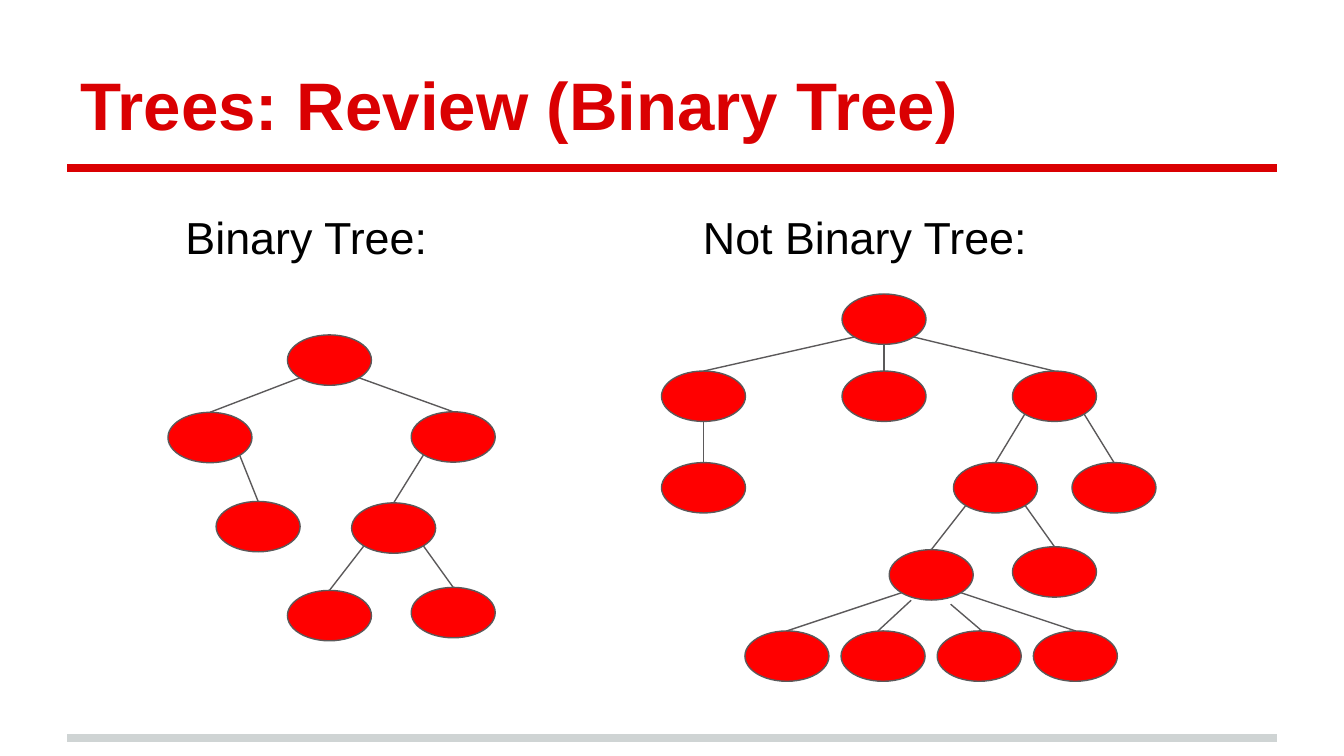
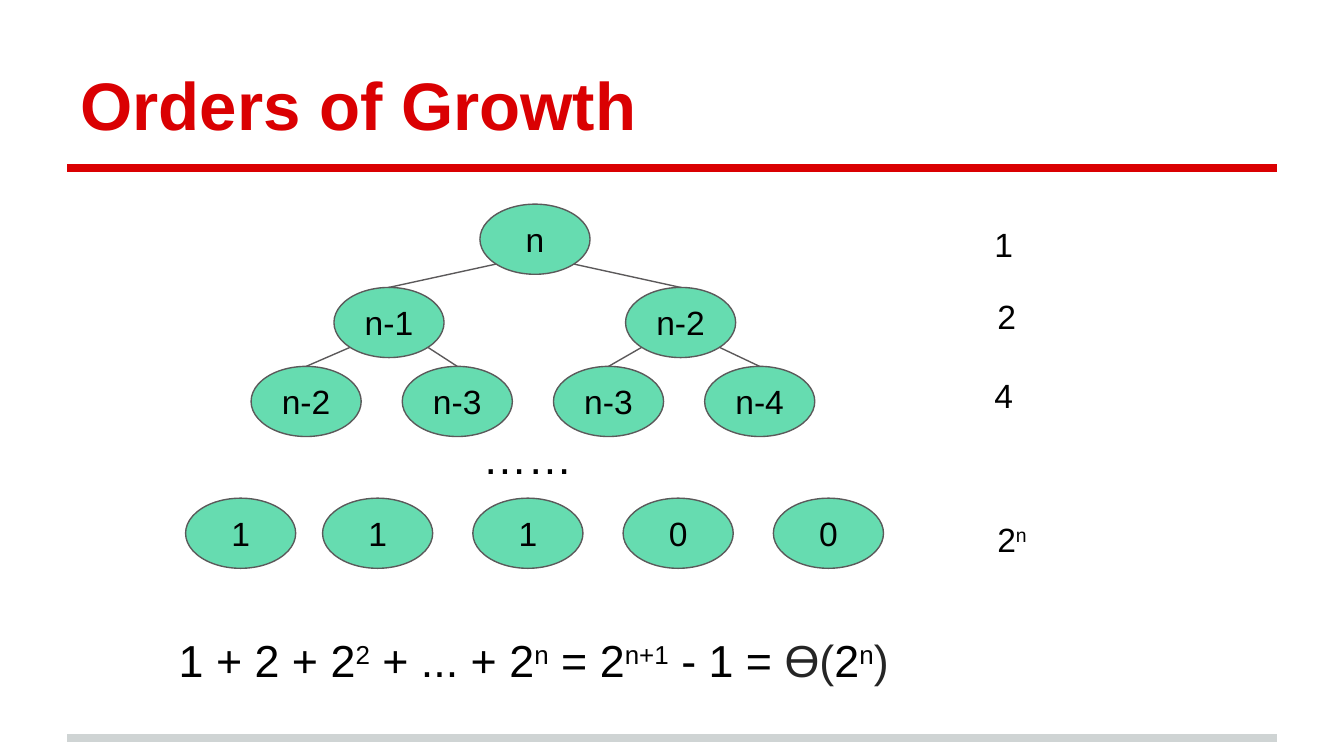
import pptx
import pptx.dml.color
import pptx.enum.shapes
import pptx.enum.text
import pptx.oxml.ns
import pptx.util
import lxml.etree

Pt = pptx.util.Pt
ANCHOR = pptx.enum.text.MSO_ANCHOR
ALIGN = pptx.enum.text.PP_ALIGN

COLORS = {
    "title": "DA0002",
    "footer": "CFD4D4",
    "text": "000000",
    "theta": "252525",
    "outline": "5B595A",
    "plain_node": "FF0000",
    "call_node": "66DCB0",
}
FONT = "Arial"
INSET = 7.2
LEFT, MIDDLE, RIGHT = -1, 0, 1
DIAGONAL = 0.3536

BINARY_NODES = {
    "root": (64, 0, None, None),
    "a": (0, 41.5, "root", LEFT),
    "b": (130.3, 41.2, "root", RIGHT),
    "a2": (25.8, 89.2, "a", RIGHT),
    "b1": (98.4, 90, "b", LEFT),
    "b1a": (64, 136.9, "b1", LEFT),
    "b1b": (130.3, 135.3, "b1", RIGHT),
}
LEAF_X = [44.7 + 51.5 * index for index in range(4)]
GENERAL_NODES = {
    "root": (96.7, 0, None, None),
    "a": (0, 41.3, "root", LEFT),
    "b": (96.7, 41.3, "root", MIDDLE),
    "c": (188, 41.3, "root", RIGHT),
    "a1": (0, 90.3, "a", MIDDLE),
    "c1": (156.4, 90.3, "c", LEFT),
    "c2": (219.9, 90.3, "c", RIGHT),
    "c1a": (122, 137, "c1", LEFT),
    "c1b": (188, 135.4, "c1", RIGHT),
    "leaf1": (LEAF_X[0], 180.5, "c1a", LEFT),
    "leaf2": (LEAF_X[1], 180.5, None, None),
    "leaf3": (LEAF_X[2], 180.5, None, None),
    "leaf4": (LEAF_X[3], 180.5, "c1a", RIGHT),
}
GENERAL_LOOSE_EDGES = [(116, 180.5, 133.7, 164.1), (172.2, 181, 154.9, 166.2)]
CALL_X = [35.1 + 81 * index for index in range(4)]
CALL_NODES = {
    "n": (157.7, 0, None, None),
    "n-1": (79.5, 44.6, "n", LEFT),
    "n-2": (235.7, 44.6, "n", RIGHT),
    "n-2 ": (CALL_X[0], 86.9, "n-1", LEFT),
    "n-3": (CALL_X[1], 86.9, "n-1", RIGHT),
    "n-3 ": (CALL_X[2], 86.9, "n-2", LEFT),
    "n-4": (CALL_X[3], 86.9, "n-2", RIGHT),
}


def color(name):
    """Return the named palette colour."""
    return pptx.dml.color.RGBColor.from_string(COLORS[name])


def write_runs(paragraph, runs, size, bold=False):
    """Add (text, raised, colour) runs to a paragraph."""
    for text, raised, color_name in runs:
        run = paragraph.add_run()
        run.text = text
        run.font.name = FONT
        run.font.size = Pt(size)
        run.font.bold = bold
        run.font.color.rgb = color(color_name)
        if raised:
            run._r.get_or_add_rPr().set("baseline", "30000")


def set_frame(frame, anchor, wrap):
    """Give a text frame its insets, anchor and wrapping."""
    frame.margin_left = frame.margin_right = Pt(INSET)
    frame.margin_top = frame.margin_bottom = Pt(INSET)
    frame.vertical_anchor = anchor
    frame.word_wrap = wrap


def add_text(slide, box, runs, size, anchor=ANCHOR.TOP, align=ALIGN.LEFT, bold=False):
    """Add a one-paragraph text box."""
    shape = slide.shapes.add_textbox(*map(Pt, box))
    set_frame(shape.text_frame, anchor, True)
    paragraph = shape.text_frame.paragraphs[0]
    paragraph.alignment = align
    write_runs(paragraph, runs, size, bold)


def add_line(slide, start, end, color_name="outline", width=0.75):
    """Add a straight line without shadow."""
    line = slide.shapes.add_connector(
        pptx.enum.shapes.MSO_CONNECTOR.STRAIGHT, *map(Pt, (*start, *end)))
    line.line.color.rgb = color(color_name)
    line.line.width = Pt(width)
    lxml.etree.SubElement(line._element.spPr, pptx.oxml.ns.qn("a:effectLst"))
    return line


def add_node(slide, box, color_name, label=""):
    """Add one outlined ellipse with an optional centred label."""
    shape = slide.shapes.add_shape(
        pptx.enum.shapes.MSO_SHAPE.OVAL, *map(Pt, box))
    shape.shadow.inherit = False
    shape.fill.solid()
    shape.fill.fore_color.rgb = color(color_name)
    shape.line.color.rgb = color("outline")
    shape.line.width = Pt(0.75)
    if label:
        set_frame(shape.text_frame, ANCHOR.MIDDLE, False)
        paragraph = shape.text_frame.paragraphs[0]
        paragraph.alignment = ALIGN.CENTER
        write_runs(paragraph, [(label, False, "text")], 18)
    return shape


def add_tree(slide, origin, nodes, size, color_name, labelled=False):
    """Place nodes relative to the origin and link each to its parent."""
    left, top = origin
    width, height = size
    shapes = {}
    for name, (x, y, _, _) in nodes.items():
        label = name.strip() if labelled else ""
        shapes[name] = add_node(slide, (left + x, top + y, width, height), color_name, label)
    for name, (x, y, parent, side) in nodes.items():
        if parent is None:
            continue
        parent_x, parent_y = nodes[parent][:2]
        drop = height / 2 if side == MIDDLE else DIAGONAL * height
        start = (left + parent_x + width / 2 + side * DIAGONAL * width,
                 top + parent_y + height / 2 + drop)
        line = add_line(slide, start, (left + x + width / 2, top + y))
        line.end_connect(shapes[name], 0)


def add_base(presentation, title):
    """Add a blank slide with its title, title rule and footer rule."""
    slide = presentation.slides.add_slide(presentation.slide_layouts[6])
    add_line(slide, (36, 395.3), (684, 395.3), "footer", 4)
    add_line(slide, (36, 90), (684, 90), "title", 4)
    add_text(slide, (36, 16.5, 648, 67.7), [(title, False, "title")], 36,
             anchor=ANCHOR.BOTTOM, bold=True)
    return slide


def add_review_slide(presentation):
    """Compare a binary tree with a general tree."""
    slide = add_base(presentation, "Trees: Review (Binary Tree)")
    for left, width, heading in ((92.3, 175, "Binary Tree:"), (369.5, 225.4, "Not Binary Tree:")):
        add_text(slide, (left, 105.2, width, 48.2), [(heading, False, "text")], 24)
    add_tree(slide, (90, 179.4), BINARY_NODES, (45, 27), "plain_node")
    left, top = 354.4, 157.5
    add_tree(slide, (left, top), GENERAL_NODES, (45, 27), "plain_node")
    for x1, y1, x2, y2 in GENERAL_LOOSE_EDGES:
        add_line(slide, (left + x1, top + y1), (left + x2, top + y2))


def add_call_tree(slide, left, top):
    """Draw the call tree and its bottom row of base cases."""
    size = (59, 37.6)
    add_tree(slide, (left, top), CALL_NODES, size, "call_node", labelled=True)
    add_text(slide, (left + 73.4, top + 113.8, 219.6, 37.4),
             [("……", False, "text")], 24, align=ALIGN.CENTER)
    base_x = [0] + [73.4 + 80.5 * index for index in range(4)]
    for x, label in zip(base_x, "11100"):
        add_node(slide, (left + x, top + 157.5, *size), "call_node", label)


def add_level_counts(slide, left, top):
    """List the number of calls on each level."""
    counts = [(0, 0, "1", ""), (1.6, 38.2, "2", ""), (0, 80.7, "4", ""), (1.6, 157.7, "2", "n")]
    for x, y, base, power in counts:
        runs = [(base, False, "text")]
        if power:
            runs.append((power, True, "text"))
        add_text(slide, (left + x, top + y, 62.6, 31), runs, 18)


def add_growth_slide(presentation):
    """Show the call tree, its level counts and their sum."""
    slide = add_base(presentation, "Orders of Growth")
    add_call_tree(slide, 99.4, 109.4)
    add_level_counts(slide, 525.6, 113)
    formula = [
        ("1 + 2 + 2", False, "text"), ("2", True, "text"),
        (" + ... + 2", False, "text"), ("n", True, "text"),
        (" = 2", False, "text"), ("n+1", True, "text"),
        (" - 1 = ", False, "text"), ("Ө(", False, "theta"),
        ("2", False, "text"), ("n", True, "text"), (")", False, "theta"),
    ]
    add_text(slide, (88.7, 332, 463.7, 31), formula, 24)


def main():
    """Build and save the presentation."""
    presentation = pptx.Presentation()
    presentation.slide_width = Pt(720)
    presentation.slide_height = Pt(405)
    add_review_slide(presentation)
    add_growth_slide(presentation)
    presentation.save("out.pptx")


if __name__ == "__main__":
    main()
